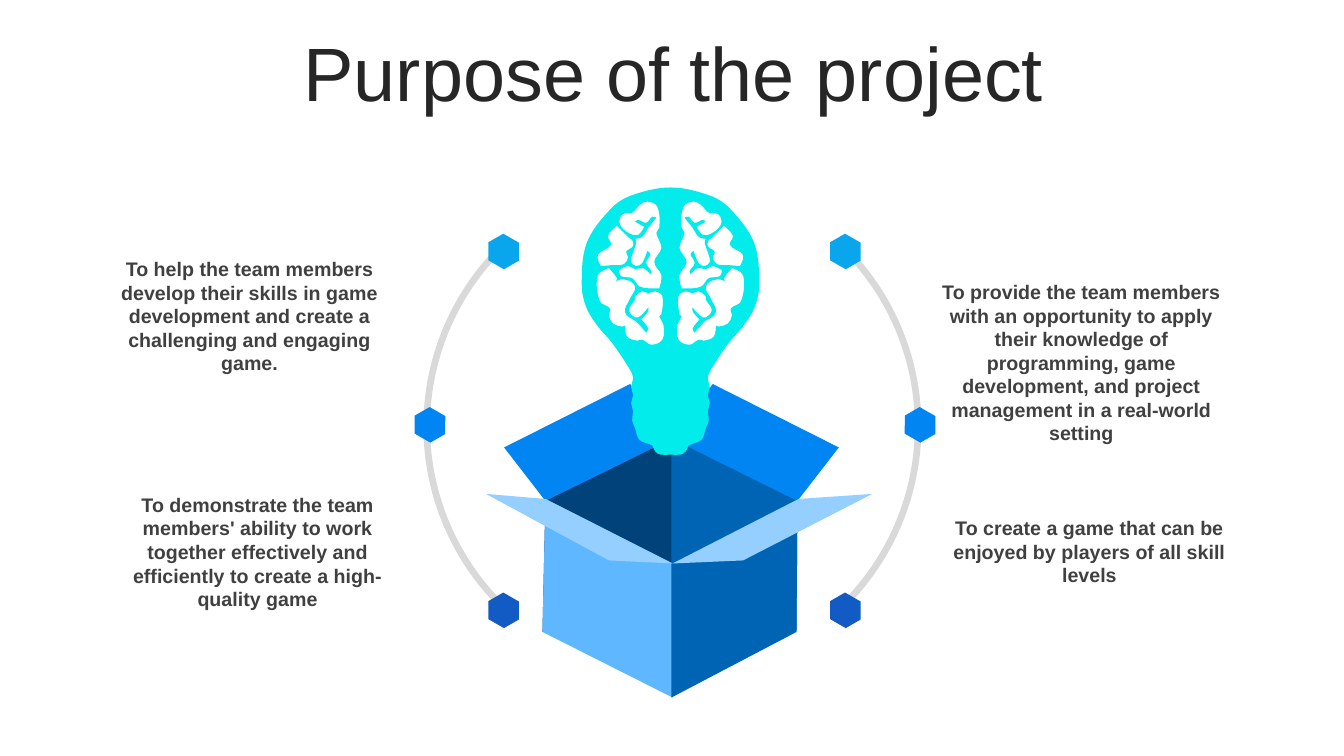
from dataclasses import dataclass
from math import atan2, cos, dist, pi, sin

from lxml.etree import SubElement
from pptx import Presentation
from pptx.dml.color import RGBColor
from pptx.enum.shapes import MSO_SHAPE as Shape
from pptx.enum.text import MSO_ANCHOR as Anchor, PP_ALIGN as Align
from pptx.oxml.ns import qn
from pptx.util import Inches, Pt

Point = tuple[float, float]
COLUMNS, ROWS = 1333, 750
CELL = Inches(0.01)
BULB_AXIS = 665
CORNER_TURN = 0.42 * pi


@dataclass(frozen=True)
class Theme:
    font: str = "Arial"
    title_size: float = 54
    body_size: float = 14
    title: str = "262626"
    body: str = "404040"
    arc: str = "D9D9D9"
    bulb: str = "02ECEC"
    sky: str = "0AA6ED"
    blue: str = "0085F2"
    royal: str = "125AC4"
    navy: str = "004279"
    deep: str = "0064B5"
    light: str = "5EB7FF"
    pale: str = "94CFFF"


@dataclass(frozen=True)
class Area:
    col: float
    row: float
    cols: float
    rows: float

    def emu(self) -> list[int]:
        return [round(v * CELL) for v in (self.col, self.row, self.cols, self.rows)]


@dataclass(frozen=True)
class Panel:
    color: str
    points: list[Point]


@dataclass(frozen=True)
class Label:
    area: Area
    text: str


@dataclass(frozen=True)
class Arc:
    col: float
    start: float
    end: float


@dataclass(frozen=True)
class Marker:
    left_col: float
    right_col: float
    row: float
    color: str


T = Theme()

BOX_PANELS = [
    Panel(T.navy, [(667, 434), (667, 593), (538, 627), (541, 495)]),
    Panel(T.deep, [(666, 434), (666, 594), (790, 627), (791, 495)]),
    Panel(T.blue, [(667, 435), (625, 381), (500, 444), (541, 497)]),
    Panel(T.blue, [(707, 381), (666, 435), (791, 497), (832, 444)]),
    Panel(T.light, [(667, 559), (667, 692), (538, 627), (541, 495)]),
    Panel(T.deep, [(790, 627), (666, 692), (666, 559), (791, 495)]),
    Panel(T.pale, [(667, 559), (737, 556), (865, 490), (792, 495)]),
    Panel(T.pale, [(541, 495), (667, 559), (604, 556), (482, 490)]),
]

BULB_HALF: list[Point] = [
    (0, 186), (39, 194), (59, 207), (83, 241), (88, 283), (83, 306),
    (71, 325), (58, 340), (40, 367), (37, 375), (39, 384), (37, 392),
    (39, 400), (37, 408), (38, 417), (35, 425), (31, 436), (20, 441), (18, 442),
    (15, 448), (10, 451), (0, 451),
]

BRAIN_LOBES: list[list[Point]] = [
    [(26, 225), (32, 233), (40, 232), (50, 223), (48, 213), (38, 211), (30, 203),
     (23, 200), (13, 205), (11, 226), (14, 231), (9, 246), (16, 260), (9, 273),
     (11, 286), (22, 286), (31, 284), (38, 276), (49, 274), (51, 268),
     (42, 264), (35, 267), (27, 266), (20, 272), (19, 269), (24, 261), (20, 252),
     (23, 249), (28, 261), (34, 264), (39, 260), (38, 253), (34, 241), (35, 237),
     (28, 235), (22, 226), (14, 216), (18, 215), (24, 221), (32, 218), (35, 220)],
    [(53, 224), (41, 236), (38, 238), (37, 244), (44, 250), (42, 255), (46, 262),
     (57, 263), (69, 264), (72, 253), (59, 243), (62, 234)],
    [(22, 309), (22, 305), (32, 315), (38, 313), (41, 307), (35, 297),
     (35, 294), (28, 289), (22, 291), (15, 289), (8, 294), (9, 312), (11, 314),
     (7, 322), (8, 337), (19, 342), (28, 337), (33, 338), (43, 334),
     (45, 323), (48, 324), (57, 321), (61, 313), (60, 306), (70, 299), (72, 273),
     (61, 266), (53, 276), (54, 279), (47, 277), (37, 281), (35, 287), (39, 294),
     (40, 296), (45, 310), (34, 319), (32, 321), (24, 330), (22, 326), (29, 317)],
]

ARC_ROW, ARC_SIZE, ARC_WIDTH = 170, 506, 0.013
ARCS = [Arc(420, 81.194, 135.839), Arc(408, 188.161, 26.806)]

MARKER_COLS, MARKER_ROWS = 35, 31
MARKERS = [
    Marker(482, 821, 234, T.sky),
    Marker(409, 895, 406, T.blue),
    Marker(482, 821, 590, T.royal),
]

TITLE = Label(Area(35, 37, 1266, 79), "Purpose of the project")
GOALS = [
    Label(Area(92, 250, 311, 127),
          "To help the team members develop their skills in game development "
          "and create a challenging and engaging game."),
    Label(Area(100, 484, 311, 127),
          "To demonstrate the team members' ability to work together effectively "
          "and efficiently to create a high-quality game"),
    Label(Area(917, 273, 311, 173),
          "To provide the team members with an opportunity to apply their knowledge of "
          "programming, game development, and project management in a real-world setting"),
    Label(Area(925, 507, 311, 80),
          "To create a game that can be enjoyed by players of all skill levels"),
]


def paint(sp, color: str) -> None:
    sp.shadow.inherit = False
    sp.fill.solid()
    sp.fill.fore_color.rgb = RGBColor.from_string(color)
    sp.line.fill.background()


def heading(a: Point, b: Point) -> float:
    return atan2(b[1] - a[1], b[0] - a[0])


def tangent(before: Point, at: Point, after: Point) -> Point:
    turn = (heading(at, after) - heading(before, at) + pi) % (2 * pi) - pi
    if abs(turn) > CORNER_TURN:
        return 0, 0
    angle = heading(before, after)
    return cos(angle), sin(angle)


def handles(points: list[Point]) -> list[tuple[Point, Point]]:
    pairs, n = [], len(points)
    for i, a in enumerate(points):
        b, after = points[(i + 1) % n], points[(i + 2) % n]
        ta, tb = tangent(points[i - 1], a, b), tangent(a, b, after)
        reach = dist(a, b) / 3
        pairs.append(((a[0] + reach * ta[0], a[1] + reach * ta[1]),
                      (b[0] - reach * tb[0], b[1] - reach * tb[1])))
    return pairs


def mirror(points: list[Point]) -> list[Point]:
    return [(-x, y) for x, y in reversed(points)]


def add_outline(s, contours: list[list[Point]], color: str):
    first, *holes = [[(x * CELL, y * CELL) for x, y in c] for c in contours]
    builder = s.shapes.build_freeform(*first[0])
    builder.add_line_segments(first[1:] + first[:1])
    for hole in holes:
        builder.move_to(*hole[0])
        builder.add_line_segments(hole[1:] + hole[:1])
    sp = builder.convert_to_shape()
    paint(sp, color)
    return sp


def bend(sp, contours: list[list[Point]]) -> None:
    pairs = [pair for c in contours for pair in handles(c)]
    for segment, pair in zip(list(sp._element.iter(qn("a:lnTo"))), pairs):
        segment.tag = qn("a:cubicBezTo")
        for i, (x, y) in enumerate(pair):
            pt = SubElement(segment, qn("a:pt"), x=str(round(x * CELL - sp.left)),
                            y=str(round(y * CELL - sp.top)))
            segment.insert(i, pt)


def add_bulb(s) -> None:
    halves = [BULB_HALF + mirror(BULB_HALF[1:-1])]
    for lobe in BRAIN_LOBES:
        halves += [lobe, mirror(lobe)]
    contours = [[(BULB_AXIS + x, y) for x, y in c] for c in halves]
    bend(add_outline(s, contours, T.bulb), contours)


def add_arc(s, arc: Arc) -> None:
    sp = s.shapes.add_shape(Shape.BLOCK_ARC, *Area(arc.col, ARC_ROW, ARC_SIZE, ARC_SIZE).emu())
    for i, value in enumerate((arc.start, arc.end, ARC_WIDTH)):
        sp.adjustments[i] = value
    paint(sp, T.arc)


def add_marker(s, marker: Marker) -> None:
    for col in (marker.left_col, marker.right_col):
        area = Area(col, marker.row, MARKER_COLS, MARKER_ROWS)
        sp = s.shapes.add_shape(Shape.HEXAGON, *area.emu())
        sp.adjustments[0] = 0.29
        sp.rotation = 330
        paint(sp, marker.color)


def add_label(s, label: Label, size: float, color: str, bold: bool, spacing: float, anchor: Anchor) -> None:
    tf = s.shapes.add_textbox(*label.area.emu()).text_frame
    tf.word_wrap, tf.vertical_anchor = True, anchor
    p = tf.paragraphs[0]
    p.text, p.alignment, p.line_spacing = label.text, Align.CENTER, spacing
    p.font.name, p.font.size, p.font.bold = T.font, Pt(size), bold
    p.font.color.rgb = RGBColor.from_string(color)


def main() -> None:
    prs = Presentation()
    prs.slide_width, prs.slide_height = COLUMNS * CELL, ROWS * CELL
    s = prs.slides.add_slide(prs.slide_layouts[6])
    add_label(s, TITLE, T.title_size, T.title, False, 0.9, Anchor.MIDDLE)
    for panel in BOX_PANELS:
        add_outline(s, [panel.points], panel.color)
    add_bulb(s)
    for arc in ARCS:
        add_arc(s, arc)
    for marker in MARKERS:
        add_marker(s, marker)
    for goal in GOALS:
        add_label(s, goal, T.body_size, T.body, True, 1.0, Anchor.TOP)
    prs.save("out.pptx")


if __name__ == "__main__":
    main()
